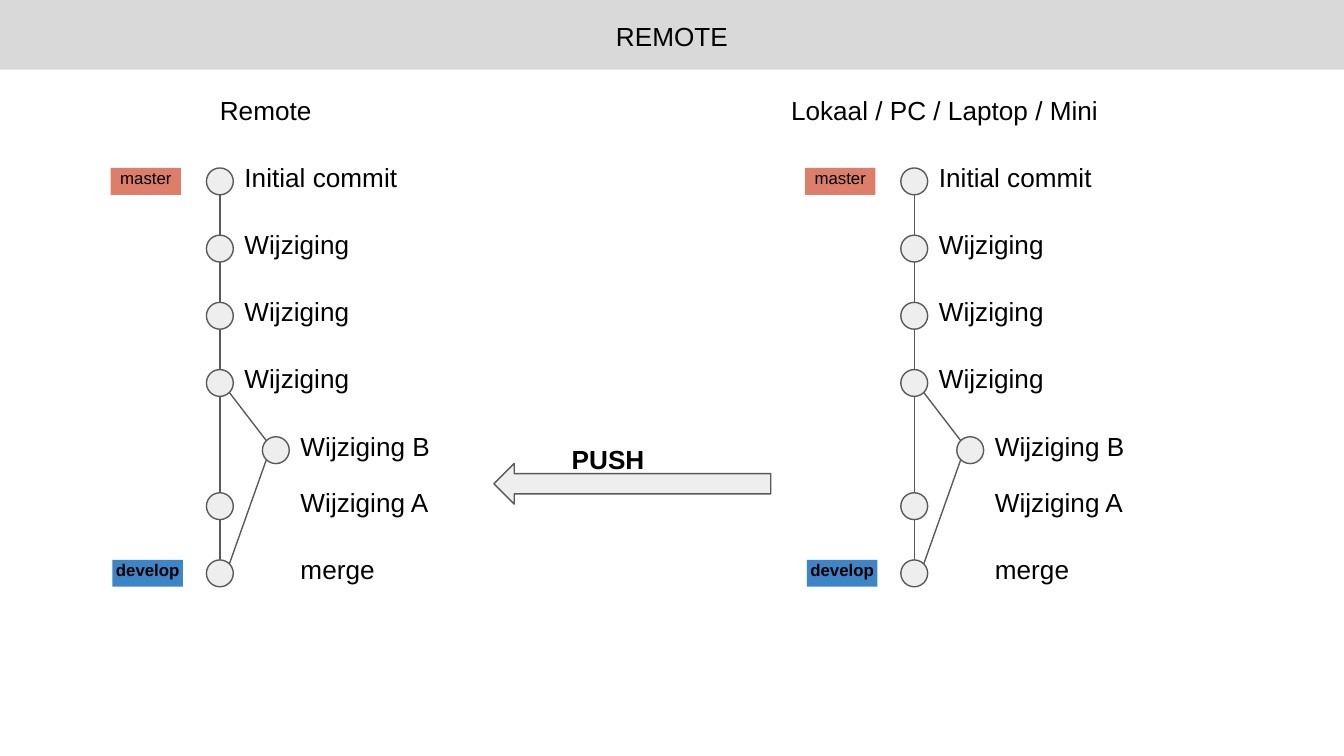
import math

import pptx
import pptx.dml.color
import pptx.enum.shapes
import pptx.enum.text
import pptx.oxml.ns
import pptx.util
from lxml import etree

Pt = pptx.util.Pt
RGB = pptx.dml.color.RGBColor
SHAPE = pptx.enum.shapes.MSO_SHAPE
ALIGN = pptx.enum.text.PP_ALIGN

BLACK = RGB(0x00, 0x00, 0x00)
LINE = RGB(0x59, 0x59, 0x59)
NODE = RGB(0xEE, 0xEE, 0xEE)
BAR = RGB(0xD9, 0xD9, 0xD9)
RED = RGB(0xDD, 0x7E, 0x6B)
BLUE = RGB(0x3D, 0x85, 0xC6)

# Content: commits as (label, y, node lane, label lane)
TITLE = "REMOTE"
COMMITS = [
    ("Initial commit", 97.2, 0, 0),
    ("Wijziging", 133.2, 0, 0),
    ("Wijziging", 169.2, 0, 0),
    ("Wijziging", 205.2, 0, 0),
    ("Wijziging B", 241.2, 1, 1),
    ("Wijziging A", 271.2, 0, 1),
    ("merge", 307.2, 0, 1),
]
LINKS = [(0, 1), (1, 2), (2, 3), (3, 4), (3, 5), (5, 6), (4, 6)]
# Branch tags: (label, commit, distance left of the trunk, colour, bold)
TAGS = [("master", 0, 58.5, RED, False), ("develop", 6, 57.5, BLUE, True)]
# Repositories: (heading, heading left, heading width, trunk x)
REPOS = [
    ("Remote", 110.7, 67, 117.8),
    ("Lokaal / PC / Laptop / Mini", 416.7, 191, 489.8),
]
RADIUS = 7.2
LANE = 30

prs = pptx.Presentation()
prs.slide_width, prs.slide_height = Pt(720), Pt(405)
s = prs.slides.add_slide(prs.slide_layouts[5])


def write(shape, text, size=14, bold=False, align=ALIGN.LEFT, insets=(0, 0, 0, 0)):
    tf = shape.text_frame
    tf.word_wrap = True
    tf.auto_size = pptx.enum.text.MSO_AUTO_SIZE.NONE
    tf.vertical_anchor = pptx.enum.text.MSO_ANCHOR.TOP
    tf.margin_left, tf.margin_top, tf.margin_right, tf.margin_bottom = map(Pt, insets)
    p = tf.paragraphs[0]
    p.alignment = align
    r = p.add_run()
    r.text = text
    r.font.name, r.font.size, r.font.bold = "Arial", Pt(size), bold
    r.font.color.rgb = BLACK


def add_text(text, x, y, w, h, **style):
    write(s.shapes.add_textbox(Pt(x), Pt(y), Pt(w), Pt(h)), text, **style)


def add_shape(kind, x, y, w, h, fill, outlined=True):
    sp = s.shapes.add_shape(kind, Pt(x), Pt(y), Pt(w), Pt(h))
    sp.shadow.inherit = False
    sp.fill.solid()
    sp.fill.fore_color.rgb = fill
    if outlined:
        sp.line.color.rgb = LINE
        sp.line.width = Pt(0.75)
    else:
        sp.line.fill.background()
    return sp


def add_link(x1, y1, x2, y2):
    """Join two nodes edge to edge, straight down or at the 45° points."""
    dy = RADIUS if x1 == x2 else RADIUS * math.sqrt(0.5)
    dx = 0 if x1 == x2 else math.copysign(dy, x2 - x1)
    c = s.shapes.add_connector(
        pptx.enum.shapes.MSO_CONNECTOR.STRAIGHT,
        Pt(x1 + dx), Pt(y1 + dy), Pt(x2 - dx), Pt(y2 - dy))
    c.line.color.rgb = LINE
    c.line.width = Pt(0.75)
    etree.SubElement(c._element.spPr, pptx.oxml.ns.qn("a:effectLst"))


# Title bar
title = s.shapes.title
title.left, title.top, title.width, title.height = Pt(0), Pt(0), Pt(720), Pt(37.4)
title.fill.solid()
title.fill.fore_color.rgb = BAR
write(title, TITLE, align=ALIGN.CENTER, insets=(7.2, 10.8, 7.2, 7.2))

# Commit graph of each repository
for heading, left, width, trunk in REPOS:
    add_text(heading, left, 43.2, width, 37.4, insets=(7.2,) * 4)
    nodes = [(trunk + lane * LANE, y) for _, y, lane, _ in COMMITS]
    for a, b in LINKS:
        add_link(*nodes[a], *nodes[b])
    for (x, y), (label, _, _, lane) in zip(nodes, COMMITS):
        add_shape(SHAPE.OVAL, x - RADIUS, y - RADIUS, 2 * RADIUS, 2 * RADIUS, NODE)
        add_text(label, trunk + lane * LANE + 13.2, y - 10.8, 86.4, 21.6)
    for label, commit, gap, colour, bold in TAGS:
        tag = add_shape(SHAPE.RECTANGLE, trunk - gap, nodes[commit][1] - RADIUS,
                        37.7, 2 * RADIUS, colour, outlined=False)
        write(tag, label, size=9, bold=bold, align=ALIGN.CENTER)

# Push arrow
arrow = add_shape(SHAPE.LEFT_ARROW, 264.6, 248.3, 148.3, 21.8, NODE)
arrow.adjustments[0] = arrow.adjustments[1] = 0.5
add_text("PUSH", 299.2, 230.2, 67, 37.4, bold=True, insets=(7.2,) * 4)

prs.save("out.pptx")
